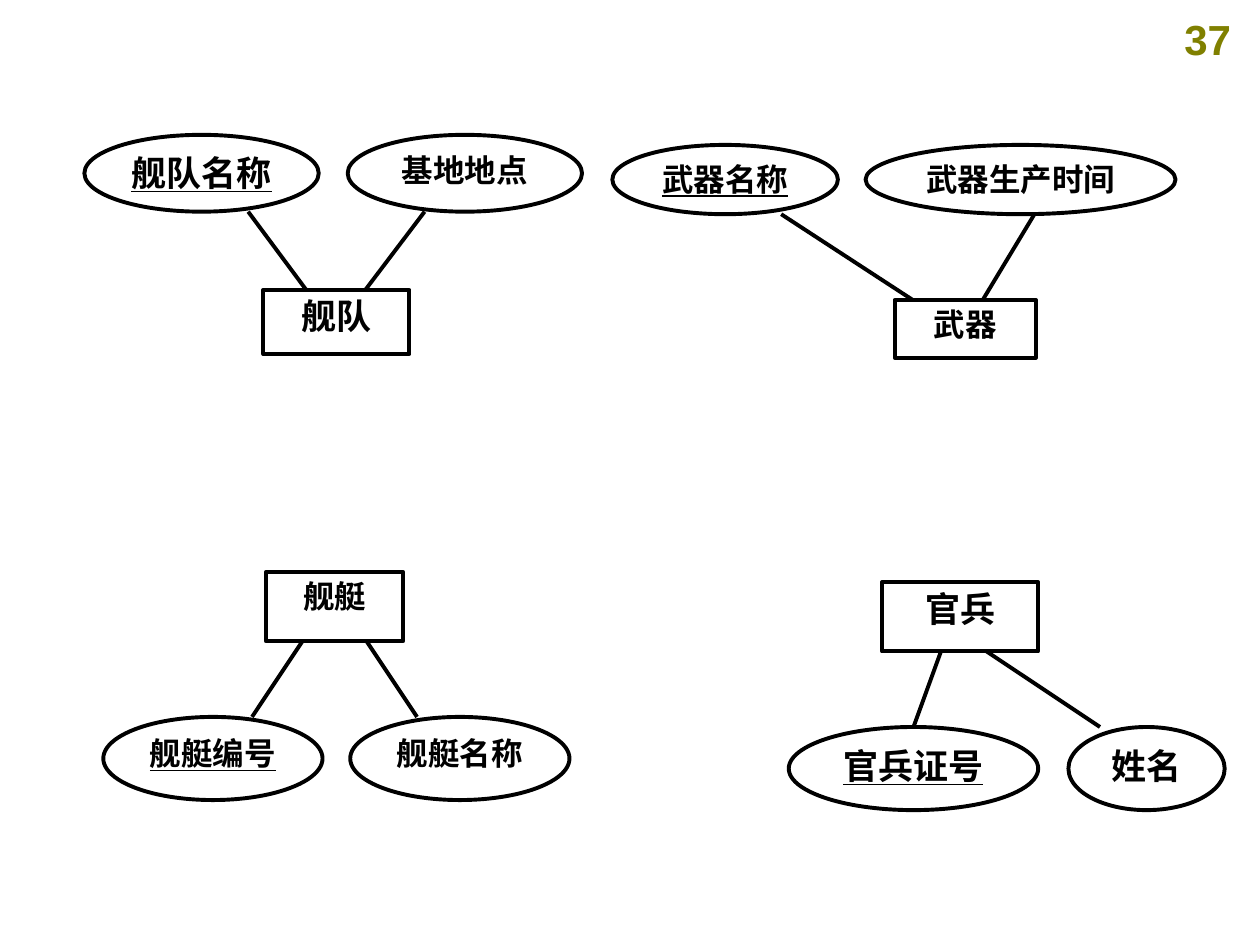
from dataclasses import dataclass

from lxml.etree import SubElement
from pptx import Presentation
from pptx.dml.color import RGBColor
from pptx.enum.shapes import MSO_CONNECTOR as Connector, MSO_SHAPE as Shape
from pptx.enum.text import MSO_ANCHOR as Anchor, PP_ALIGN as Align
from pptx.oxml.ns import qn
from pptx.util import Inches, Pt

BLACK, WHITE, OLIVE = "000000", "FFFFFF", "808000"


@dataclass
class Attribute:
    """An attribute oval and the horizontal ends of its link, from the diagram's left."""
    name: str
    width: float
    size: int
    link_start: float
    link_end: float
    is_key: bool = False


@dataclass
class Entity:
    """An entity rectangle, placed from the diagram's left."""
    name: str
    left: float
    width: float
    height: float
    size: int


def color(value):
    """Turn a hex string into a colour."""
    return RGBColor.from_string(value)


def write(text_frame, text, size, font_name, text_color, underline=None):
    """Write one centred bold line."""
    text_frame.text = text
    paragraph = text_frame.paragraphs[0]
    paragraph.alignment = Align.CENTER
    font = paragraph.runs[0].font
    font.name, font.size, font.bold, font.underline = font_name, Pt(size), True, underline
    font.color.rgb = color(text_color)


def outline(line):
    """Apply the black diagram stroke."""
    line.color.rgb = color(BLACK)
    line.width = Pt(2.25)


def add_node(group, kind, box, text, size, underline=None):
    """Add a white outlined node with its label at the top."""
    node = group.shapes.add_shape(kind, *map(Inches, box))
    node.shadow.inherit = False
    node.fill.solid()
    node.fill.fore_color.rgb = color(WHITE)
    outline(node.line)
    frame = node.text_frame
    frame.word_wrap = True
    frame.vertical_anchor = Anchor.TOP
    frame.margin_left = frame.margin_right = Inches(0.04)
    frame.margin_top = frame.margin_bottom = Inches(0.04)
    write(frame, text, size, "Times New Roman", BLACK, underline)


def add_link(group, start, end):
    """Add a plain line between two points."""
    link = group.shapes.add_connector(Connector.STRAIGHT, *map(Inches, (*start, *end)))
    outline(link.line)
    SubElement(link._element.spPr, qn("a:effectLst"))


def add_diagram(slide, box, entity, attributes, oval_height, overlap, entity_on_top):
    """Draw an entity with its two attributes at the outer edges of the box."""
    left, top, width, height = box
    group = slide.shapes.add_group_shape()
    if entity_on_top:
        entity_top, oval_top = top, top + height - oval_height
        link_start, link_end = top + entity.height - overlap, oval_top
    else:
        entity_top, oval_top = top + height - entity.height, top
        link_start, link_end = entity_top + overlap, top + oval_height
    oval_lefts = left, left + width - attributes[1].width
    for attribute, oval_left in zip(attributes, oval_lefts):
        add_node(group, Shape.OVAL, (oval_left, oval_top, attribute.width, oval_height),
                 attribute.name, attribute.size, attribute.is_key or None)
    for attribute in attributes:
        add_link(group, (left + attribute.link_start, link_start),
                 (left + attribute.link_end, link_end))
    add_node(group, Shape.RECTANGLE,
             (left + entity.left, entity_top, entity.width, entity.height),
             entity.name, entity.size)


def add_page_number(slide, box, number):
    """Add the page number in the corner."""
    frame = slide.shapes.add_textbox(*map(Inches, box)).text_frame
    frame.word_wrap = True
    write(frame, number, 24, "Arial", OLIVE)


def main():
    """Build the slide of entities and attributes."""
    presentation = Presentation()
    presentation.slide_width, presentation.slide_height = Inches(10), Inches(7.5)
    slide = presentation.slides.add_slide(presentation.slide_layouts[6])
    add_page_number(slide, (9.23, 0.06, 0.71, 0.5), "37")
    add_diagram(slide, (0.67, 1.07, 3.95, 1.74), Entity("舰队", 1.42, 1.16, 0.51, 20),
                (Attribute("舰队名称", 1.86, 20, 1.76, 1.3, True),
                 Attribute("基地地点", 1.86, 18, 2.23, 2.7)), 0.61, 0, False)
    add_diagram(slide, (0.82, 4.54, 3.7, 1.81), Entity("舰艇", 1.29, 1.09, 0.55, 18),
                (Attribute("舰艇编号", 1.74, 18, 1.62, 1.18, True),
                 Attribute("舰艇名称", 1.74, 18, 2.05, 2.49)), 0.66, 0.06, True)
    add_diagram(slide, (4.86, 1.15, 4.47, 1.69), Entity("武器", 2.24, 1.12, 0.46, 18),
                (Attribute("武器名称", 1.79, 18, 2.46, 1.34, True),
                 Attribute("武器生产时间", 2.46, 18, 2.91, 3.35)), 0.55, 0.05, False)
    add_diagram(slide, (6.26, 4.62, 3.46, 1.81), Entity("官兵", 0.74, 1.24, 0.55, 20),
                (Attribute("官兵证号", 1.98, 20, 1.23, 0.99, True),
                 Attribute("姓名", 1.24, 20, 1.48, 2.47)), 0.66, 0.06, True)
    presentation.save("out.pptx")


if __name__ == "__main__":
    main()
